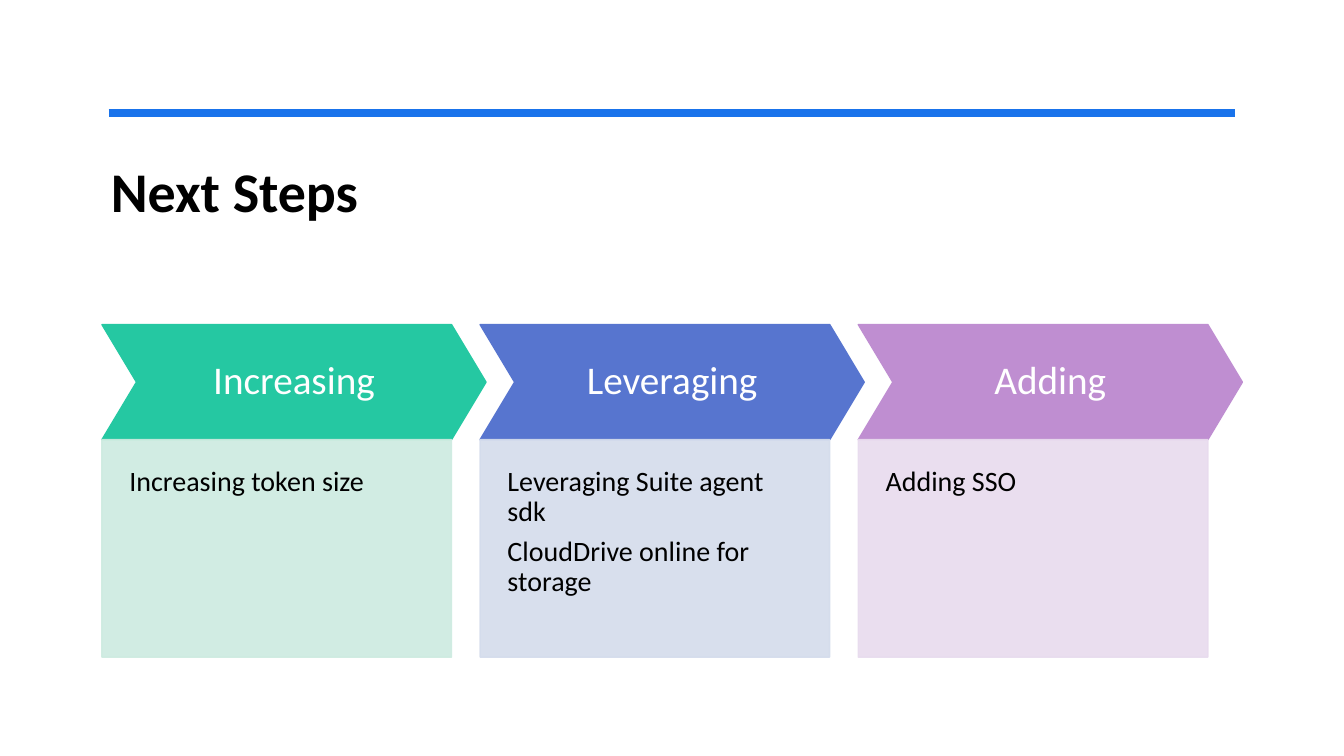
import pptx
import pptx.util
import pptx.dml.color
import pptx.enum.shapes
import pptx.enum.text
import pptx.oxml
import pptx.oxml.ns

Cm = pptx.util.Cm
Pt = pptx.util.Pt
RGBColor = pptx.dml.color.RGBColor
MSO_SHAPE = pptx.enum.shapes.MSO_SHAPE
PP_ALIGN = pptx.enum.text.PP_ALIGN
MSO_ANCHOR = pptx.enum.text.MSO_ANCHOR

FONT = "Calibri"
BLACK = RGBColor(0x00, 0x00, 0x00)
WHITE = RGBColor(0xFF, 0xFF, 0xFF)
RULE_BLUE = RGBColor(0x19, 0x73, 0xEB)
GREEN = RGBColor(0x25, 0xC8, 0xA2)
PALE_GREEN = RGBColor(0xCD, 0xEB, 0xE0)
BLUE = RGBColor(0x57, 0x75, 0xCF)
PALE_BLUE = RGBColor(0xD4, 0xDC, 0xEC)
PURPLE = RGBColor(0xBF, 0x8E, 0xD1)
PALE_PURPLE = RGBColor(0xE8, 0xDB, 0xEE)

STEPS = [
    ("Increasing", ["Increasing token size"], GREEN, PALE_GREEN),
    ("Leveraging", ["Leveraging Suite agent sdk", "CloudDrive online for storage"],
     BLUE, PALE_BLUE),
    ("Adding", ["Adding SSO"], PURPLE, PALE_PURPLE),
]


def set_opacity(sp, percent):
    """Make the fill and outline of a shape partly transparent."""
    for color in sp._element.spPr.iter(pptx.oxml.ns.qn("a:srgbClr")):
        alpha = pptx.oxml.parse_xml(
            f'<a:alpha {pptx.oxml.ns.nsdecls("a")} val="{percent * 1000}"/>')
        color.append(alpha)


def add_block(s, kind, x, y, w, h, color):
    """Add a flat shape with fill and outline of one colour."""
    sp = s.shapes.add_shape(kind, x, y, w, h)
    sp.shadow.inherit = False
    sp.fill.solid()
    sp.fill.fore_color.rgb = color
    sp.line.color.rgb = color
    sp.line.width = Pt(1)
    return sp


def write(sp, lines, size, color, align, anchor, margins):
    """Write paragraphs into a shape."""
    tf = sp.text_frame
    tf.word_wrap = True
    tf.vertical_anchor = anchor
    tf.margin_left, tf.margin_top, tf.margin_right, tf.margin_bottom = margins
    tf.text = "\n".join(lines)
    for p in tf.paragraphs:
        p.alignment = align
        p.line_spacing = 0.9
        p.space_after = Pt(size * 0.35)
        p.font.name = FONT
        p.font.size = Pt(size)
        p.font.color.rgb = color


def add_header(s, x, y, w):
    """Draw the rule and place the title below it."""
    rule = s.shapes.add_connector(
        pptx.enum.shapes.MSO_CONNECTOR.STRAIGHT, x + Cm(0.2), y, x + Cm(28.58), y)
    rule.line.color.rgb = RULE_BLUE
    rule.line.width = Pt(6)
    rule._element.spPr.append(pptx.oxml.parse_xml(
        f'<a:effectLst {pptx.oxml.ns.nsdecls("a")}/>'))
    title = s.shapes.title
    title.left, title.top, title.width, title.height = x, y + Cm(0.96), w, Cm(3.18)
    tf = title.text_frame
    tf.text = "Next Steps"
    tf.auto_size = pptx.enum.text.MSO_AUTO_SIZE.NONE
    tf.vertical_anchor = MSO_ANCHOR.TOP
    p = tf.paragraphs[0]
    p.alignment = PP_ALIGN.LEFT
    p.font.name = FONT
    p.font.size = Pt(40)
    p.font.bold = True
    p.font.color.rgb = BLACK


def add_step(s, x, y, w, h, step):
    """Draw one step: a chevron heading above a pale detail panel."""
    heading, details, color, pale = step
    head_h = Cm(2.9)
    tip = int(head_h * 0.3)
    chevron = add_block(s, MSO_SHAPE.CHEVRON, x, y, w, head_h, color)
    chevron.adjustments[0] = 0.3
    write(chevron, [heading], 28, WHITE, PP_ALIGN.CENTER, MSO_ANCHOR.MIDDLE,
          [Cm(0.36)] * 4)
    panel = add_block(s, MSO_SHAPE.RECTANGLE, x, y + head_h, w - tip, h - head_h, pale)
    set_opacity(panel, 90)
    write(panel, details, 20, BLACK, PP_ALIGN.LEFT, MSO_ANCHOR.TOP,
          [Cm(0.69), Cm(0.69), Cm(0.69), Cm(1.4)])


def add_steps(s, x, y, w, h):
    """Lay the steps out in equal columns across the box."""
    step_w = Cm(9.68)
    pitch = (w - step_w) // (len(STEPS) - 1)
    for i, step in enumerate(STEPS):
        add_step(s, x + i * pitch, y, step_w, h, step)


def main():
    """Build and save the slide."""
    prs = pptx.Presentation()
    prs.slide_width = Cm(33.87)
    prs.slide_height = Cm(19.05)
    s = prs.slides.add_slide(prs.slide_layouts[5])
    add_header(s, Cm(2.54), Cm(2.85), Cm(28.78))
    add_steps(s, Cm(2.57), Cm(8.18), Cm(28.74), Cm(8.38))
    prs.save("out.pptx")


if __name__ == "__main__":
    main()
